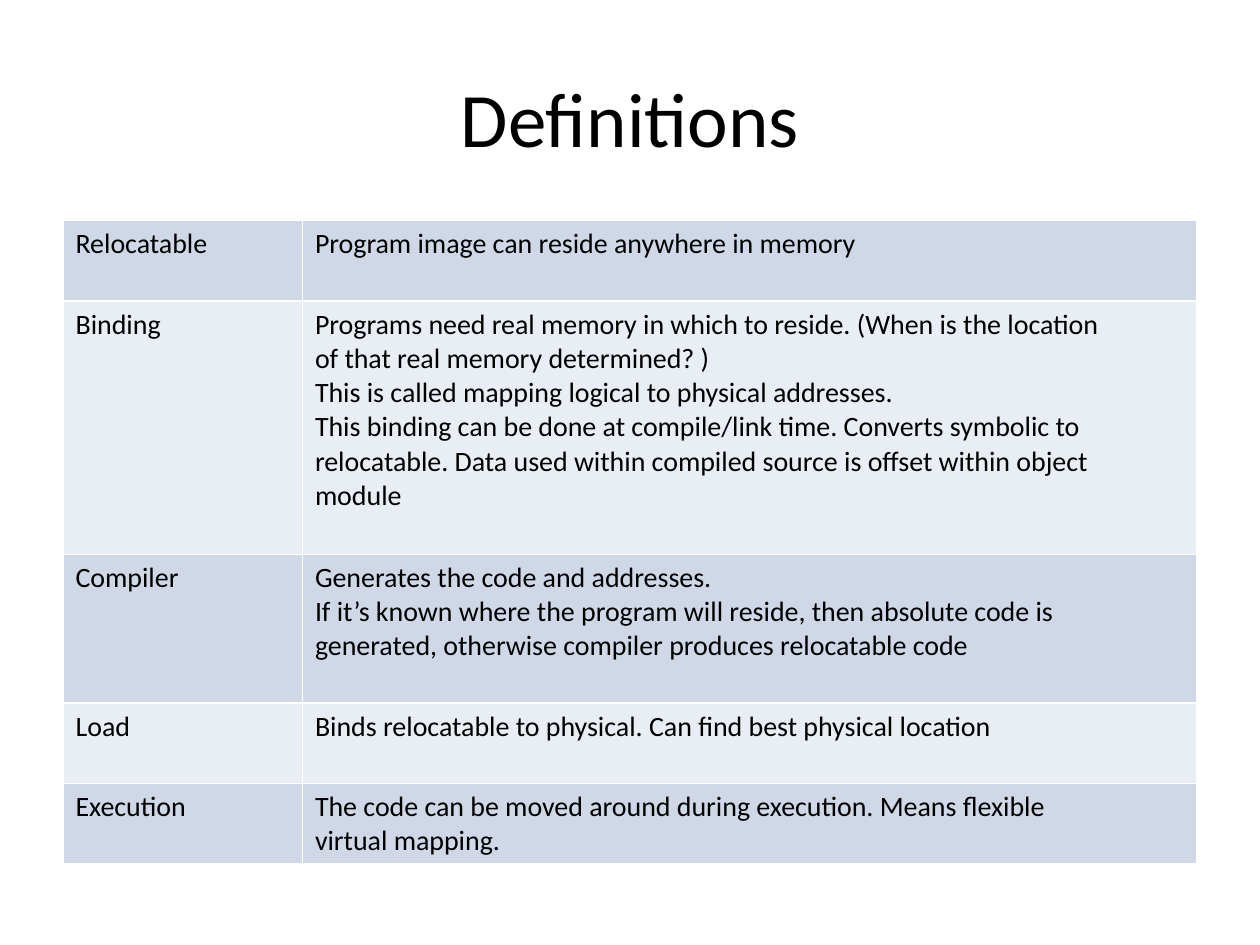
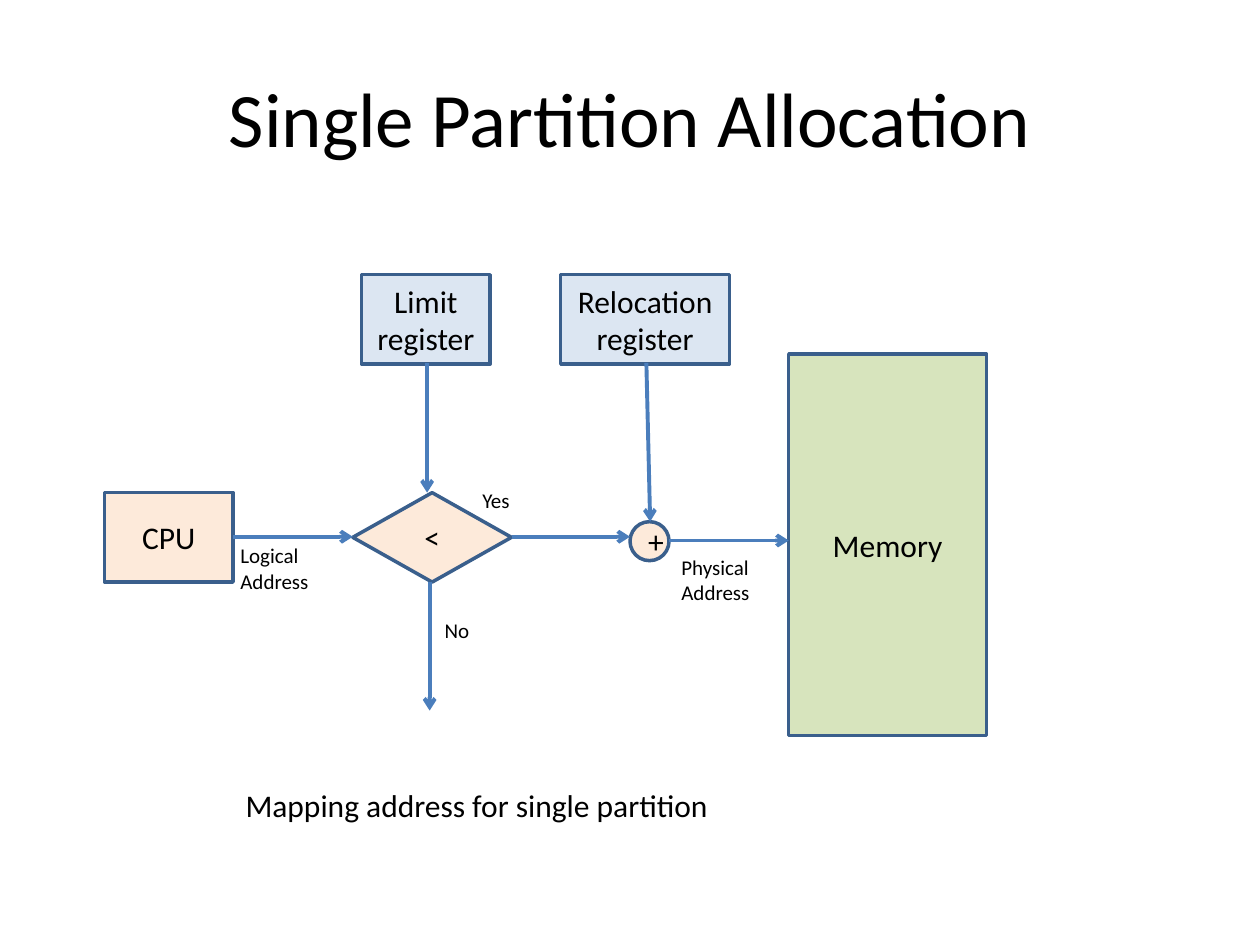
from lxml import etree
from pptx import Presentation
from pptx import util as u
from pptx.dml.color import RGBColor
from pptx.enum import shapes, text
from pptx.oxml.ns import qn

FONT = "Calibri"
BLACK, WHITE = "000000", "FFFFFF"
OUTLINE, ARROW = "3A5F8C", "4B7EBC"
PEACH, PALE_BLUE, GREEN = "FDEADA", "DCE6F2", "D7E4BD"
BANDS = ("D0D8E8", "E9EDF4")
CENTER = text.PP_ALIGN.CENTER
MIDDLE = text.MSO_ANCHOR.MIDDLE


def color(value):
    return RGBColor.from_string(value)


def write(frame, lines, size=18, align=None, anchor=None, wrap=True):
    """Put each line in its own paragraph."""
    frame.word_wrap = wrap
    if anchor is not None:
        frame.vertical_anchor = anchor
    for index, line in enumerate(lines.split("\n")):
        para = frame.add_paragraph() if index else frame.paragraphs[0]
        para.alignment = align
        span = para.add_run()
        span.text = line
        span.font.name = FONT
        span.font.size = u.Pt(size)
        span.font.color.rgb = color(BLACK)


class Deck:
    def __init__(self):
        self.deck = Presentation()
        self.deck.slide_width = u.Inches(10)
        self.deck.slide_height = u.Inches(7.5)
        self.page = None

    def add_page(self, title):
        self.page = self.deck.slides.add_slide(self.deck.slide_layouts[6])
        self.label((0.5, 0.3, 9, 1.25), title, size=44, align=CENTER, anchor=MIDDLE)

    def label(self, place, lines, **style):
        box = self.page.shapes.add_textbox(*map(u.Inches, place))
        write(box.text_frame, lines, **style)

    def node(self, kind, place, lines, fill):
        shape = self.page.shapes.add_shape(kind, *map(u.Inches, place))
        shape.shadow.inherit = False
        shape.fill.solid()
        shape.fill.fore_color.rgb = color(fill)
        shape.line.color.rgb = color(OUTLINE)
        shape.line.width = u.Pt(2)
        write(shape.text_frame, lines, align=CENTER, anchor=MIDDLE)

    def arrow(self, *ends):
        line = self.page.shapes.add_connector(
            shapes.MSO_CONNECTOR.STRAIGHT, *map(u.Inches, ends))
        line.line.color.rgb = color(ARROW)
        line.line.width = u.Pt(2.25)
        etree.SubElement(line.line._get_or_add_ln(), qn("a:tailEnd"), type="arrow")
        etree.SubElement(line._element.spPr, qn("a:effectLst"))

    def table(self, left, top, widths, heights, rows):
        place = map(u.Inches, (left, top, sum(widths), sum(heights)))
        table = self.page.shapes.add_table(len(rows), len(widths), *place).table
        table.first_row = table.horz_banding = False
        for column, width in zip(table.columns, widths):
            column.width = u.Inches(width)
        for index, (row, height) in enumerate(zip(table.rows, heights)):
            row.height = u.Inches(height)
            for cell, lines in zip(row.cells, rows[index]):
                self.borders(cell)
                cell.fill.solid()
                cell.fill.fore_color.rgb = color(BANDS[index % 2])
                write(cell.text_frame, lines, size=16)

    def borders(self, cell):
        properties = cell._tc.get_or_add_tcPr()
        for side in ("lnL", "lnR", "lnT", "lnB"):
            edge = etree.SubElement(properties, qn(f"a:{side}"), w=str(u.Pt(1)))
            fill = etree.SubElement(edge, qn("a:solidFill"))
            etree.SubElement(fill, qn("a:srgbClr"), val=WHITE)


def definitions(deck):
    deck.add_page("Definitions")
    deck.table(0.5, 1.75, (1.9, 7.1), (0.64, 2.01, 1.18, 0.64, 0.64), [
        ("Relocatable", "Program image can reside anywhere in memory"),
        ("Binding",
         "Programs need real memory in which to reside. (When is the location\n"
         "of that real memory determined? )\n"
         "This is called mapping logical to physical addresses.\n"
         "This binding can be done at compile/link time. Converts symbolic to\n"
         "relocatable. Data used within compiled source is offset within object\n"
         "module"),
        ("Compiler",
         "Generates the code and addresses.\n"
         "If it’s known where the program will reside, then absolute code is\n"
         "generated, otherwise compiler produces relocatable code"),
        ("Load", "Binds relocatable to physical. Can find best physical location"),
        ("Execution",
         "The code can be moved around during execution. Means flexible\n"
         "virtual mapping."),
    ])


def single_partition(deck):
    deck.add_page("Single Partition Allocation")
    kinds = shapes.MSO_SHAPE
    register_top, flow_top, height = 2.18, 3.91, 0.71
    flow_middle = 4.26

    # Hardware blocks
    for kind, place, lines, fill in (
        (kinds.RECTANGLE, (0.83, flow_top, 1.02, height), "CPU", PEACH),
        (kinds.RECTANGLE, (2.87, register_top, 1.02, height), "Limit register", PALE_BLUE),
        (kinds.RECTANGLE, (4.45, register_top, 1.34, height), "Relocation register", PALE_BLUE),
        (kinds.FLOWCHART_DECISION, (2.8, flow_top, 1.26, height), "<", PEACH),
        (kinds.OVAL, (5, 4.14, 0.31, 0.31), "+", PEACH),
        (kinds.RECTANGLE, (6.26, 2.81, 1.57, 3.03), "Memory", GREEN),
    ):
        deck.node(kind, place, lines, fill)

    # Address flow, then register inputs and the failed check
    deck.arrow(1.85, flow_middle, 2.8, flow_middle)
    deck.arrow(4.06, flow_middle, 5, flow_middle)
    deck.arrow(5.31, 4.29, 6.26, 4.29)
    deck.arrow(3.39, 2.88, 3.39, flow_top)
    deck.arrow(5.13, 2.88, 5.16, 4.14)
    deck.arrow(3.41, 4.62, 3.41, 5.64)

    # Flow labels and caption
    for left, top, lines in (
        (1.81, 4.26, "Logical\nAddress"),
        (3.73, 3.82, "Yes"),
        (3.43, 4.85, "No"),
        (5.31, 4.35, "Physical\nAddress"),
    ):
        label_height = 0.5 if "\n" in lines else 0.3
        deck.label((left, top, 0.83, label_height), lines, size=12)
    deck.label((1.85, 6.19, 3.92, 0.4), "Mapping address for single partition", wrap=False)


def main():
    deck = Deck()
    definitions(deck)
    single_partition(deck)
    deck.deck.save("out.pptx")


if __name__ == "__main__":
    main()
